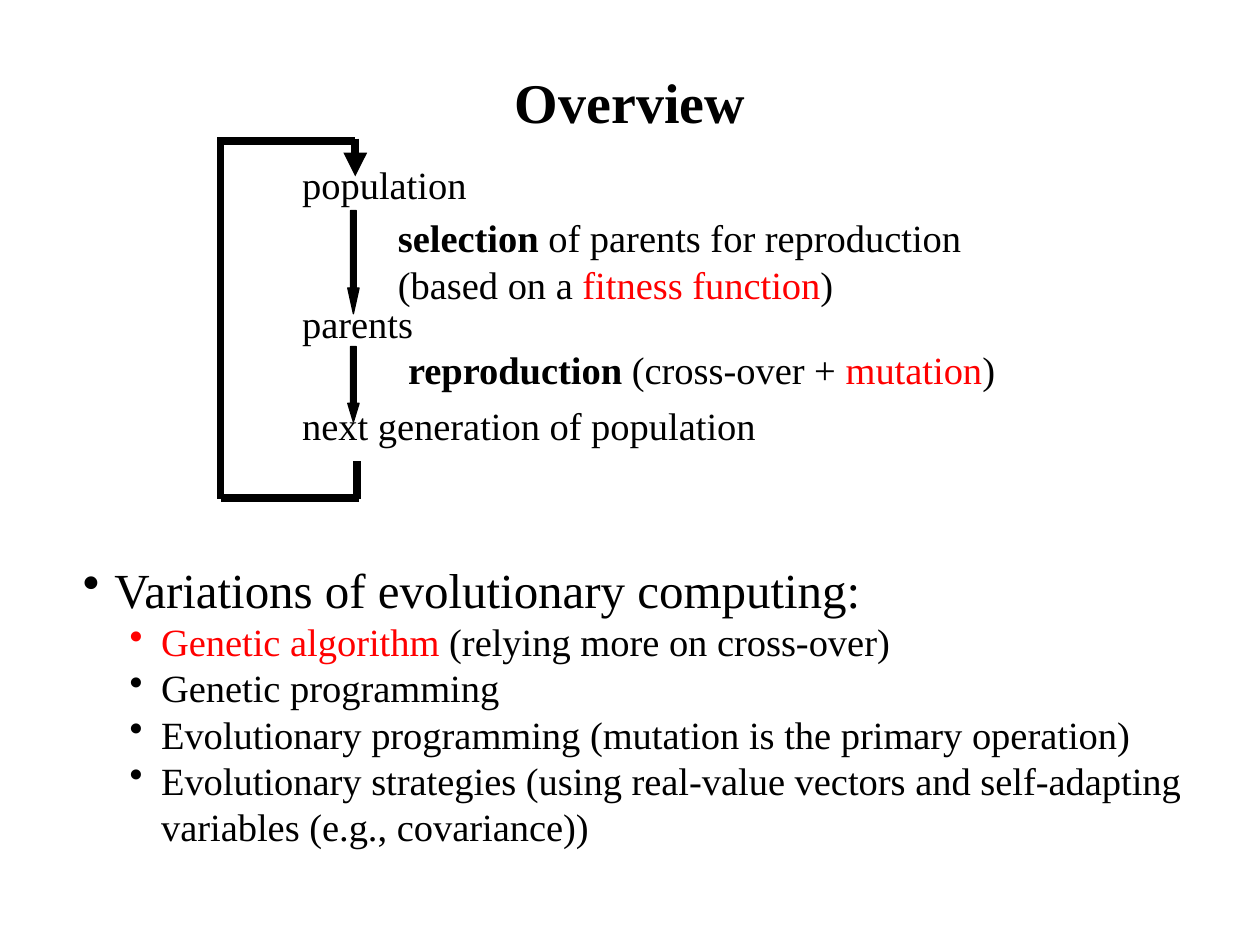
from typing import NamedTuple

from lxml.etree import SubElement
from pptx import Presentation
from pptx.dml.color import RGBColor
from pptx.enum.shapes import MSO_CONNECTOR, MSO_SHAPE
from pptx.enum.text import MSO_ANCHOR, MSO_AUTO_SIZE, PP_ALIGN
from pptx.oxml.ns import qn
from pptx.util import Inches, Pt

BLACK = RGBColor(0x00, 0x00, 0x00)
RED = RGBColor(0xFF, 0x00, 0x00)
FONT = "Times New Roman"
WIDTH, HEIGHT = Inches(10), Inches(7.5)
COLUMN, ROW = WIDTH // 1000, HEIGHT // 750
HEADING_SIZE, TOPIC_SIZE, BODY_SIZE = 32, 28, 22


class Area(NamedTuple):
    column: int
    row: int
    columns: int
    rows: int


class Phrase(NamedTuple):
    text: str
    bold: bool = False
    color: RGBColor = BLACK


class Line(NamedTuple):
    phrases: list[Phrase]
    size: int = BODY_SIZE
    indent: int = 0
    bullet_width: int = 0
    level: int = 0
    before: float = 0
    spacing: float = 1.0


class Stroke(NamedTuple):
    start: tuple[int, int]
    end: tuple[int, int]
    arrow: bool = False


class Step(NamedTuple):
    area: Area
    head: float


TITLE_AREA = Area(75, 44, 850, 72)
CYCLE_AREA = Area(230, 123, 584, 238)
VARIATIONS_AREA = Area(56, 439, 892, 258)

CYCLE = [
    Line([Phrase("population")]),
    Line([Phrase("selection ", True), Phrase("of parents for reproduction")],
         indent=76, before=4.1),
    Line([Phrase("(based on a "), Phrase("fitness function", color=RED), Phrase(")")],
         indent=76),
    Line([Phrase("parents")], spacing=0.85),
    Line([Phrase("reproduction", True), Phrase(" (cross-over + "),
          Phrase("mutation", color=RED), Phrase(")")], indent=84),
    Line([Phrase("next generation of population")], before=5.5),
]

VARIETIES = [
    [Phrase("Genetic algorithm", color=RED), Phrase(" (relying more on cross-over)")],
    [Phrase("Genetic programming")],
    [Phrase("Evolutionary programming (mutation is the primary operation)")],
    [Phrase("Evolutionary strategies (using real-value vectors and self-adapting "
            "variables (e.g., covariance))")],
]
VARIATIONS = [
    Line([Phrase("Variations of evolutionary computing:")], TOPIC_SIZE, 25, 25),
    *(Line(phrases, BODY_SIZE, 62, 25, 1) for phrases in VARIETIES),
]

STEPS = [Step(Area(276, 167, 9, 82), 2.27), Step(Area(276, 275, 9, 60), 1.65)]
LOOP = [
    Stroke((283, 366), (283, 396)),
    Stroke((285, 395), (175, 395)),
    Stroke((282, 112), (172, 112)),
    Stroke((282, 110), (282, 140), True),
    Stroke((175, 112), (175, 396)),
]


def place(area: Area) -> tuple[int, int, int, int]:
    return (area.column * COLUMN, area.row * ROW,
            area.columns * COLUMN, area.rows * ROW)


def write_line(paragraph, line: Line) -> None:
    paragraph.level = line.level
    paragraph.space_before = Pt(line.before)
    paragraph.line_spacing = line.spacing
    properties = paragraph._p.get_or_add_pPr()
    properties.set("marL", str(line.indent * COLUMN))
    properties.set("indent", str(-line.bullet_width * COLUMN))
    if line.bullet_width:
        bullet_color = SubElement(properties, qn("a:buClr"))
        SubElement(bullet_color, qn("a:srgbClr"), val=str(line.phrases[0].color))
        SubElement(properties, qn("a:buChar"), char="•")
    for phrase in line.phrases:
        run = paragraph.add_run()
        run.text = phrase.text
        run.font.name = FONT
        run.font.size = Pt(line.size)
        run.font.bold = phrase.bold
        run.font.color.rgb = phrase.color


def write_text(slide, area: Area, lines: list[Line]) -> None:
    frame = slide.shapes.add_textbox(*place(area)).text_frame
    frame.word_wrap = True
    for index, line in enumerate(lines):
        write_line(frame.add_paragraph() if index else frame.paragraphs[0], line)


def write_title(slide) -> None:
    heading = slide.shapes.title
    heading.left, heading.top, heading.width, heading.height = place(TITLE_AREA)
    frame = heading.text_frame
    frame.auto_size = MSO_AUTO_SIZE.NONE
    frame.vertical_anchor = MSO_ANCHOR.MIDDLE
    write_line(frame.paragraphs[0], Line([Phrase("Overview", True)], HEADING_SIZE))
    frame.paragraphs[0].alignment = PP_ALIGN.CENTER


def draw_step(slide, step: Step) -> None:
    arrow = slide.shapes.add_shape(MSO_SHAPE.DOWN_ARROW, *place(step.area))
    arrow.adjustments[0] = 0.5
    arrow.adjustments[1] = step.head
    arrow.shadow.inherit = False
    arrow.fill.solid()
    arrow.fill.fore_color.rgb = BLACK
    arrow.line.color.rgb = BLACK
    arrow.line.width = Pt(0.75)


def draw_stroke(slide, stroke: Stroke) -> None:
    (from_column, from_row), (to_column, to_row) = stroke.start, stroke.end
    connector = slide.shapes.add_connector(
        MSO_CONNECTOR.STRAIGHT, from_column * COLUMN, from_row * ROW,
        to_column * COLUMN, to_row * ROW)
    connector.line.color.rgb = BLACK
    connector.line.width = Pt(4.5)
    if stroke.arrow:
        SubElement(connector.line._get_or_add_ln(), qn("a:tailEnd"), type="triangle")
    SubElement(connector._element.spPr, qn("a:effectLst"))


def main() -> None:
    presentation = Presentation()
    presentation.slide_width, presentation.slide_height = WIDTH, HEIGHT
    slide = presentation.slides.add_slide(
        presentation.slide_layouts.get_by_name("Title Only"))
    write_text(slide, CYCLE_AREA, CYCLE)
    for step in STEPS:
        draw_step(slide, step)
    for stroke in LOOP:
        draw_stroke(slide, stroke)
    write_title(slide)
    write_text(slide, VARIATIONS_AREA, VARIATIONS)
    presentation.save("out.pptx")


if __name__ == "__main__":
    main()
